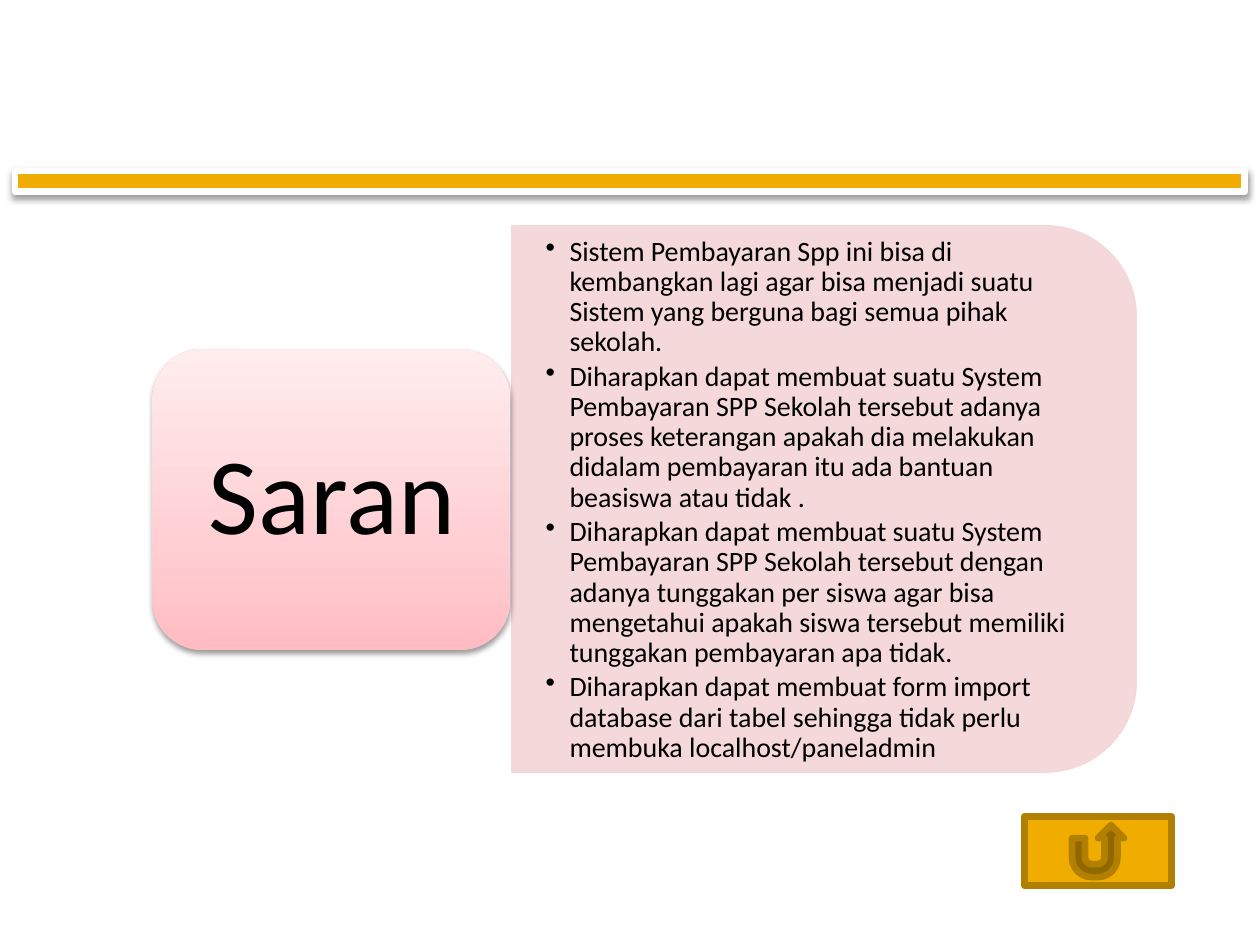
from pptx import Presentation
from pptx.dml.color import RGBColor
from pptx.enum.shapes import MSO_SHAPE
from pptx.enum.text import MSO_ANCHOR, PP_ALIGN
from pptx.oxml.ns import qn
from pptx.util import Inches, Pt
from lxml.etree import SubElement

COLORS = {
    "gold": "F0AD00",
    "dark_gold": "B28000",
    "white": "FFFFFF",
    "black": "000000",
    "pink": "F5D4D7",
}
HEADING_GRADIENT = [(0, "FFBCC2"), (35, "FFCFD3"), (100, "FFEDEE")]
SUGGESTIONS = [
    "Sistem Pembayaran Spp ini bisa di kembangkan lagi agar bisa menjadi suatu "
    "Sistem yang berguna bagi semua pihak sekolah.",
    "Diharapkan dapat membuat suatu System Pembayaran SPP Sekolah tersebut adanya "
    "proses keterangan apakah dia melakukan didalam pembayaran itu ada bantuan "
    "beasiswa atau tidak .",
    "Diharapkan dapat membuat suatu System Pembayaran SPP Sekolah tersebut dengan "
    "adanya tunggakan per siswa agar bisa mengetahui apakah siswa tersebut memiliki "
    "tunggakan pembayaran apa tidak.",
    "Diharapkan dapat membuat form import database dari tabel sehingga tidak perlu "
    "membuka localhost/paneladmin",
]

prs = Presentation()
prs.slide_width, prs.slide_height = Inches(10), Inches(7.5)
slide = prs.slides.add_slide(prs.slide_layouts[6])


def add_block(preset, box, fill=None, line=None, width=0):
    block = slide.shapes.add_shape(preset, *map(Inches, box))
    block.shadow.inherit = False
    if fill:
        block.fill.solid()
        block.fill.fore_color.rgb = RGBColor.from_string(COLORS[fill])
    if line:
        block.line.color.rgb = RGBColor.from_string(COLORS[line])
        block.line.width = Pt(width)
    else:
        block.line.fill.background()
    return block


def add_text(box, lines, size, space_after, margin_x, margin_y):
    frame = slide.shapes.add_textbox(*map(Inches, box)).text_frame
    frame.word_wrap = True
    frame.vertical_anchor = MSO_ANCHOR.MIDDLE
    frame.margin_left = frame.margin_right = Inches(margin_x)
    frame.margin_top = frame.margin_bottom = Inches(margin_y)
    frame.text = "\n".join(lines)
    for paragraph in frame.paragraphs:
        paragraph.line_spacing = 0.9
        paragraph.space_after = Pt(space_after)
        paragraph.font.name = "Calibri"
        paragraph.font.size = Pt(size)
        paragraph.font.color.rgb = RGBColor.from_string(COLORS["black"])
    return frame.paragraphs


divider = add_block(MSO_SHAPE.MATH_MINUS, (-1.64, 1.09, 13.28, 0.7), "gold", "white", 3.8)
add_block(MSO_SHAPE.ACTION_BUTTON_RETURN, (8.13, 6.48, 1.17, 0.55), "gold", "dark_gold", 3.8)

panel = add_block(MSO_SHAPE.ROUND_2_SAME_RECTANGLE, (4.37, 1.48, 4.34, 4.96), "pink", "pink", 0.5)
panel.rotation = 90
for color in panel._element.spPr.iter(qn("a:srgbClr")):
    SubElement(color, qn("a:alpha"), val="90000")

suggestions = add_text((4.06, 2.01, 4.75, 3.92), SUGGESTIONS, 16, 2.4, 0.27, 0.14)
for paragraph in suggestions:
    properties = paragraph._p.get_or_add_pPr()
    properties.set("lvl", "1")
    properties.set("marL", str(Inches(0.19)))
    properties.set("indent", str(-Inches(0.19)))
    bullet = SubElement(properties, qn("a:buChar"), char="•")
    properties.find(qn("a:defRPr")).addprevious(bullet)

heading = add_block(MSO_SHAPE.ROUNDED_RECTANGLE, (1.21, 2.77, 2.84, 2.39))
heading.fill.gradient()
heading.fill.gradient_angle = 90
stops = heading._element.spPr.find(".//" + qn("a:gsLst"))
for stop in list(stops):
    stops.remove(stop)
for position, color in HEADING_GRADIENT:
    stop = SubElement(stops, qn("a:gs"), pos=str(position * 1000))
    SubElement(stop, qn("a:srgbClr"), val=color)

for raised in (divider, heading):
    effects = raised._element.spPr.find(qn("a:effectLst"))
    shadow = SubElement(effects, qn("a:outerShdw"), blurRad=str(Pt(3.5)), dist=str(Pt(2)),
                        dir="5400000", rotWithShape="0")
    shadow_color = SubElement(shadow, qn("a:srgbClr"), val=COLORS["black"])
    SubElement(shadow_color, qn("a:alpha"), val="38000")

title = add_text((1.33, 2.89, 2.61, 2.15), ["Saran"], 62, 21.7, 0.26, 0.13)
title[0].alignment = PP_ALIGN.CENTER

prs.save("out.pptx")
